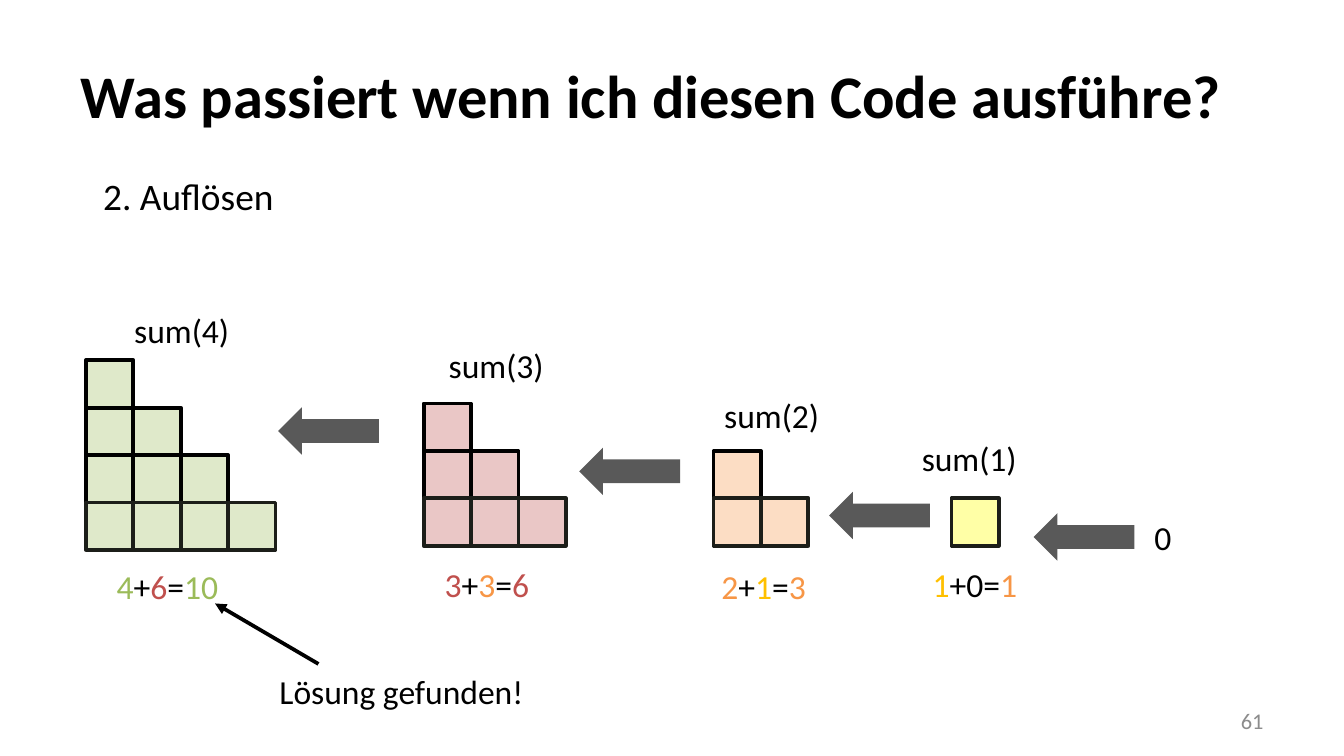
from lxml.etree import SubElement
from pptx import Presentation
from pptx.dml.color import RGBColor
from pptx.enum.shapes import MSO_CONNECTOR as Connector, MSO_SHAPE as Shape
from pptx.enum.text import MSO_ANCHOR as Anchor, MSO_AUTO_SIZE as AutoSize, PP_ALIGN as Align
from pptx.oxml.ns import qn
from pptx.util import Pt

BLACK = RGBColor(0x00, 0x00, 0x00)
EDGE = RGBColor(0x1C, 0x1E, 0x19)
ARROW = RGBColor(0x59, 0x59, 0x59)
GRAY = RGBColor(0x8C, 0x8C, 0x8C)
GREEN = RGBColor(0x9B, 0xBB, 0x59)
RED = RGBColor(0xC0, 0x50, 0x4D)
ORANGE = RGBColor(0xF7, 0x96, 0x46)
GOLD = RGBColor(0xFF, 0xC0, 0x00)
LIGHT_GREEN = RGBColor(0xC3, 0xD6, 0x9B)
LIGHT_RED = RGBColor(0xD9, 0x96, 0x94)
LIGHT_ORANGE = RGBColor(0xFA, 0xC0, 0x90)
YELLOW = RGBColor(0xFF, 0xFF, 0x00)

CELL = 25.4


class SlideBuilder:
    font_name = "Calibri"
    line_width = Pt(2)

    def __init__(self, slide):
        self.slide = slide

    def style(self, paragraph, size, color=BLACK, bold=False):
        font = paragraph.font
        font.name, font.size, font.bold = self.font_name, Pt(size), bold
        font.color.rgb = color

    def title(self, text, left, top, width, height):
        title = self.slide.shapes.title
        title.left, title.top, title.width, title.height = map(Pt, (left, top, width, height))
        frame = title.text_frame
        frame.text = text
        frame.auto_size = AutoSize.NONE
        frame.vertical_anchor = Anchor.MIDDLE
        paragraph = frame.paragraphs[0]
        paragraph.alignment = Align.LEFT
        self.style(paragraph, 32.4, bold=True)

    def text(self, parts, left, top, width, height=28.8, size=18, color=BLACK,
             align=Align.LEFT, anchor=Anchor.TOP):
        box = self.slide.shapes.add_textbox(*map(Pt, (left, top, width, height)))
        frame = box.text_frame
        frame.word_wrap = True
        frame.vertical_anchor = anchor
        paragraph = frame.paragraphs[0]
        paragraph.alignment = align
        self.style(paragraph, size, color)
        for words, run_color in parts:
            run = paragraph.add_run()
            run.text = words
            run.font.color.rgb = run_color or color

    def block(self, kind, left, top, width, height, fill):
        shape = self.slide.shapes.add_shape(kind, *map(Pt, (left, top, width, height)))
        shape.shadow.inherit = False
        shape.fill.solid()
        shape.fill.fore_color.rgb = fill
        shape.line.fill.background()
        return shape

    def cell(self, left, top, fill, opacity, edge):
        shape = self.block(Shape.RECTANGLE, left, top, CELL, CELL, fill)
        shape.line.color.rgb = edge
        shape.line.width = self.line_width
        color = shape.fill._xPr.find(qn("a:solidFill"))[0]
        SubElement(color, qn("a:alpha")).set("val", str(opacity * 1000))

    def stairs(self, count, left, bottom, fill, opacity):
        for row in range(count):
            edge = EDGE if row == count - 1 else BLACK
            for column in range(row + 1):
                self.cell(left + column * CELL, bottom - (count - row) * CELL, fill, opacity, edge)

    def arrow(self, left, top):
        self.block(Shape.LEFT_ARROW, left, top, 54, CELL, ARROW)

    def pointer(self, start_x, start_y, end_x, end_y):
        connector = self.slide.shapes.add_connector(
            Connector.STRAIGHT, *map(Pt, (start_x, start_y, end_x, end_y)))
        connector.line.color.rgb = BLACK
        connector.line.width = self.line_width
        SubElement(connector.line._get_or_add_ln(), qn("a:tailEnd")).set("type", "triangle")
        SubElement(connector._element.spPr, qn("a:effectLst"))


STEPS = [
    (4, (46.1, 294.6), LIGHT_GREEN, 53, (64.8, 162.7), (55.4, 299.5), (149, 218.2),
     [("4", GREEN), ("+", BLACK), ("6", RED), ("=", BLACK), ("10", GREEN)]),
    (3, (227, 292.4), LIGHT_RED, 53, (233.3, 181.4), (231.1, 298.8), (310.3, 239.8),
     [("3", RED), ("+", BLACK), ("3", ORANGE), ("=", BLACK), ("6", RED)]),
    (2, (382.3, 292.4), LIGHT_ORANGE, 53, (380.9, 208.1), (379.4, 299.5), (444.2, 263.5),
     [("2", ORANGE), ("+", BLACK), ("1", GOLD), ("=", BLACK), ("3", ORANGE)]),
    (1, (509.8, 292.4), YELLOW, 35, (486.7, 231.1), (492.5, 298.8), (553.7, 275),
     [("1", GOLD), ("+0=", BLACK), ("1", ORANGE)]),
]


def main():
    presentation = Presentation()
    presentation.slide_width, presentation.slide_height = Pt(720), Pt(405)
    builder = SlideBuilder(presentation.slides.add_slide(presentation.slide_layouts[5]))

    builder.title("Was passiert wenn ich diesen Code ausführe?", 36, 16.5, 648, 67.7)
    builder.text([("61", None)], 516.2, 375.1, 167.8, 21.6, 12, GRAY, Align.RIGHT, Anchor.MIDDLE)
    builder.text([("2. Auflösen", None)], 48.2, 89.3, 459.4, 31.7, 20)

    for count, corner, fill, opacity, label, formula, arrow, parts in STEPS:
        builder.stairs(count, *corner, fill, opacity)
        builder.text([(f"sum({count})", None)], *label, 70.6)
        builder.text(parts, *formula, 90)
        builder.arrow(*arrow)

    builder.text([("0", None)], 611.3, 273.6, 35.3)
    builder.text([("Lösung gefunden!", None)], 142.6, 355.7, 164.2)
    builder.pointer(170.6, 355.7, 115.2, 323.3)

    presentation.save("out.pptx")


if __name__ == "__main__":
    main()
